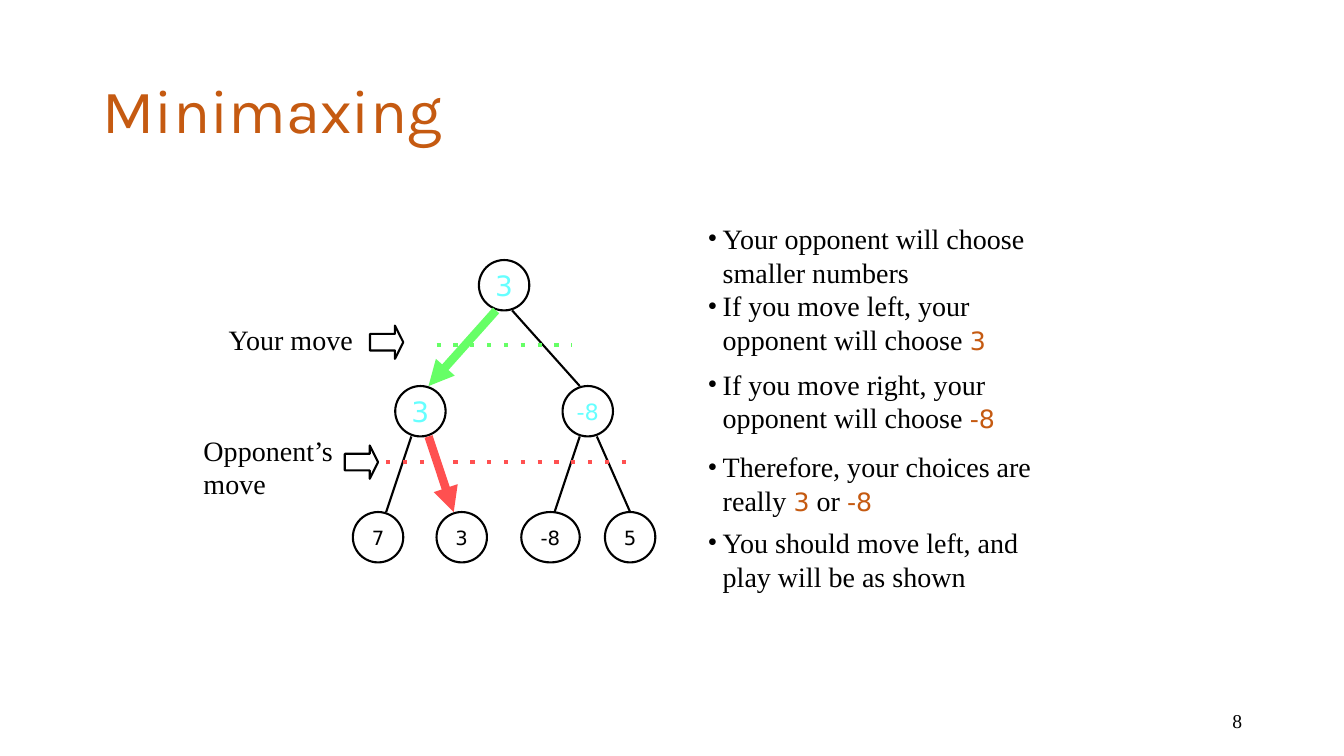
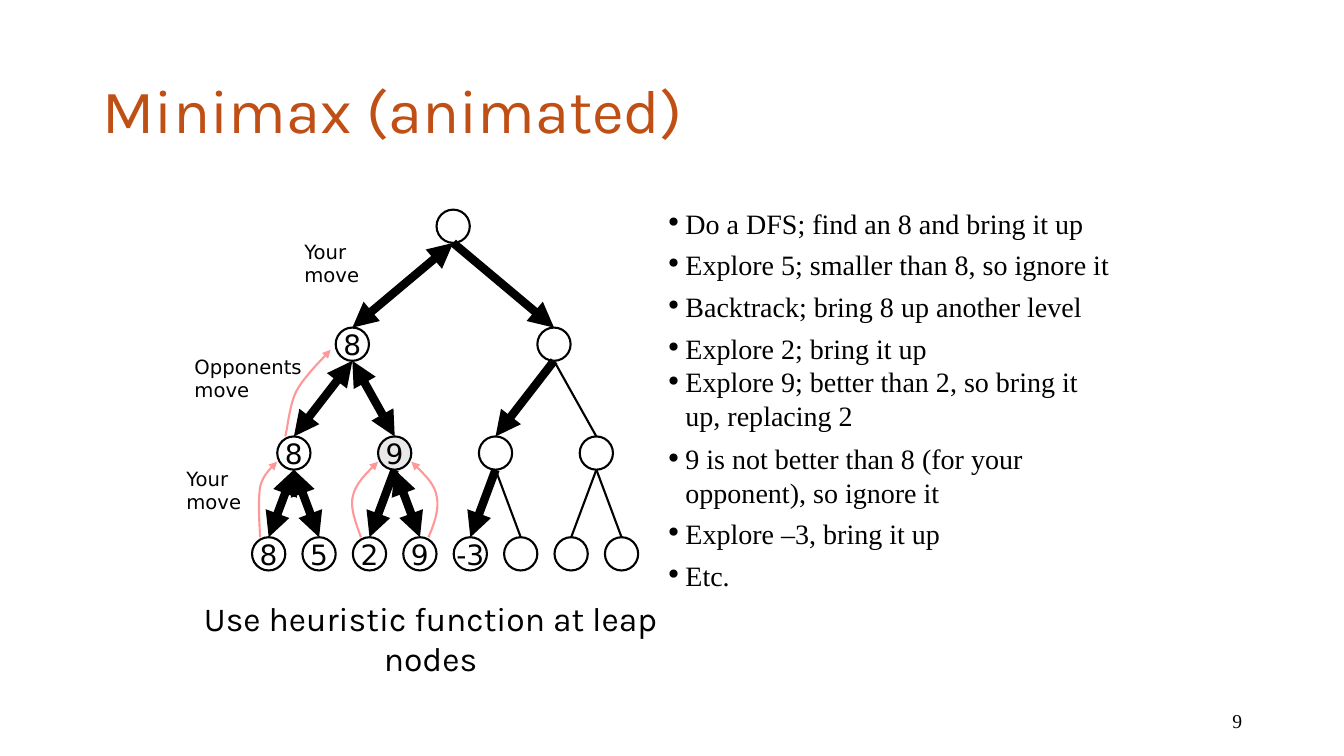
from lxml.etree import SubElement
from pptx import Presentation
from pptx.dml.color import RGBColor
from pptx.enum.shapes import MSO_CONNECTOR, MSO_SHAPE
from pptx.enum.text import MSO_ANCHOR as ANCHOR, PP_ALIGN as ALIGN
from pptx.oxml.ns import qn
from pptx.util import Inches, Pt

BLACK = RGBColor(0x00, 0x00, 0x00)
ORANGE = RGBColor(0xC5, 0x5A, 0x11)
RUST = RGBColor(0xC0, 0x4F, 0x15)
CYAN = RGBColor(0x66, 0xFF, 0xFF)
GREEN = RGBColor(0x66, 0xFF, 0x66)
RED = RGBColor(0xFF, 0x50, 0x50)
PINK = RGBColor(0xFF, 0x99, 0x99)
GRAY = RGBColor(0xE8, 0xE8, 0xE8)

SERIF, SANS, DISPLAY = "Times New Roman", "DejaVu Sans", "Karla"
THIN, DOTTED, THICK = 1.5, 3, 6

MINIMAXING_POINTS = [
    ("Your opponent will choose\nsmaller numbers", 0),
    ("If you move left, your\nopponent will choose *3*", 0),
    ("If you move right, your\nopponent will choose *-8*", 8),
    ("Therefore, your choices are\nreally *3* or *-8*", 11),
    ("You should move left, and\nplay will be as shown", 6),
]
MINIMAXING_NODES = [
    ("3", 4.75, 2.58, 0.5, 20, CYAN),
    ("3", 3.92, 3.83, 0.5, 20, CYAN),
    ("-8", 5.58, 3.83, 0.5, 16, CYAN),
    ("7", 3.5, 5.08, 0.5, 14, BLACK),
    ("3", 4.33, 5.08, 0.5, 14, BLACK),
    ("-8", 5.17, 5.08, 0.58, 14, BLACK),
    ("5", 6, 5.08, 0.5, 14, BLACK),
]
MINIMAXING_EDGES = [
    ((5.08, 3.08), (5.75, 3.83)),
    ((4.08, 4.33), (3.83, 5.08)),
    ((5.75, 4.33), (5.5, 5.08)),
    ((5.92, 4.33), (6.25, 5.08)),
]
CHOSEN_MOVES = [
    ((4.92, 3.08), (4.25, 3.83), GREEN),
    ((4.25, 4.33), (4.5, 5.08), RED),
]
TURN_LINES = [
    ((4.33, 3.42), (5.67, 3.42), GREEN),
    ((3.83, 4.58), (6.33, 4.58), RED),
]
MINIMAXING_LABELS = [
    ("Your move", 2.17, 3.15, 1.67, 0.43),
    ("Opponent’s move", 1.92, 4.25, 1.67, 0.77),
]
TURN_ARROWS = [(3.67, 3.23), (3.42, 4.42)]

ANIMATED_POINTS = [
    ("Do a DFS; find an 8 and bring it up", 0),
    ("Explore 5; smaller than 8, so ignore it", 5),
    ("Backtrack; bring 8 up another level", 6),
    ("Explore 2; bring it up", 6),
    ("Explore 9; better than 2, so bring it\nup, replacing 2", 0),
    ("9 is not better than 8 (for your\nopponent), so ignore it", 7),
    ("Explore –3, bring it up", 5),
    ("Etc.", 6),
]
ANIMATED_LEVELS = [
    (2.08, [4.33], [""], []),
    (3.25, [3.33, 5.33], ["8", ""], ["both", "down"]),
    (4.33, [2.75 + i for i in range(4)], ["8", "9", "", ""],
     ["both", "both", "down", "thin"]),
    (5.33, [2.5 + 0.5 * i for i in range(8)],
     ["8", "5", "2", "9", "-3", "", "", ""],
     ["both", "both", "down", "both", "down", "thin", "thin", "thin"]),
]
REJECTED_NODE = (2, 1)
NODE_SIZE = 0.33
ANIMATED_LABELS = [
    ("Your\nmove", 2.92, 2.33, 1, 0.57),
    ("Opponents\nmove", 1.83, 3.47, 1.75, 0.57),
    ("Your\nmove", 1.75, 4.58, 1, 0.57),
]
VALUE_CURVES = [
    [(2.58, 5.33), (2.57, 5.15), (2.56, 4.96), (2.58, 4.83),
     (2.61, 4.71), (2.68, 4.65), (2.75, 4.58)],
    [(2.83, 4.33), (2.85, 4.26), (2.87, 4.02), (2.94, 3.88),
     (3.02, 3.73), (3.21, 3.55), (3.28, 3.47)],
    [(3.58, 5.33), (3.53, 5.19), (3.47, 5.04), (3.5, 4.92),
     (3.53, 4.79), (3.64, 4.69), (3.75, 4.58)],
    [(4.25, 5.33), (4.31, 5.19), (4.36, 5.04), (4.33, 4.92),
     (4.31, 4.79), (4.19, 4.69), (4.08, 4.58)],
]
CURVE_STEPS = 12


def style_run(run, font, size, color):
    run.font.name = font
    run.font.size = Pt(size)
    run.font.color.rgb = color


def write(paragraph, text, font, size, color):
    for part, piece in enumerate(text.split("*")):
        for row, line in enumerate(piece.split("\n")):
            if row:
                paragraph.add_line_break()
            if line:
                run = paragraph.add_run()
                run.text = line
                if part % 2:
                    style_run(run, SANS, 18, ORANGE)
                else:
                    style_run(run, font, size, color)


def add_frame(slide, box, anchor=ANCHOR.TOP):
    frame = slide.shapes.add_textbox(*map(Inches, box)).text_frame
    frame.word_wrap = True
    frame.vertical_anchor = anchor
    return frame


def add_text(slide, text, box, font, size, color=BLACK, align=ALIGN.LEFT,
             anchor=ANCHOR.TOP, spacing=None):
    paragraph = add_frame(slide, box, anchor).paragraphs[0]
    paragraph.alignment = align
    paragraph.line_spacing = spacing
    write(paragraph, text, font, size, color)


def add_labels(slide, labels, font, size):
    for text, *box in labels:
        add_text(slide, text, box, font, size, spacing=Pt(1.2 * size))


def add_bullets(slide, points, box, bullet_font, indent):
    frame = add_frame(slide, box)
    for index, (text, gap) in enumerate(points):
        paragraph = frame.paragraphs[0] if index == 0 else frame.add_paragraph()
        paragraph.line_spacing = Pt(24)
        paragraph.space_before = Pt(gap)
        properties = paragraph._p.get_or_add_pPr()
        properties.set("marL", str(Inches(indent)))
        properties.set("indent", str(-Inches(indent)))
        SubElement(properties, qn("a:buFont"), typeface=bullet_font)
        SubElement(properties, qn("a:buChar"), char="•")
        write(paragraph, text, SERIF, 20, BLACK)


def style_line(shape, color, width, dash=None, ends=()):
    shape.line.color.rgb = color
    shape.line.width = Pt(width)
    line = shape.element.spPr.get_or_add_ln()
    if dash:
        SubElement(line, qn("a:prstDash"), val=dash)
    for end in ends:
        SubElement(line, qn(f"a:{end}"), type="triangle")


def add_line(slide, start, stop, color=BLACK, width=THIN, dash=None, ends=()):
    connector = slide.shapes.add_connector(
        MSO_CONNECTOR.STRAIGHT, *map(Inches, (*start, *stop)))
    style_line(connector, color, width, dash, ends)
    SubElement(connector.element.spPr, qn("a:effectLst"))


def add_outline(slide, kind, left, top, width, height):
    shape = slide.shapes.add_shape(kind, *map(Inches, (left, top, width, height)))
    shape.shadow.inherit = False
    shape.fill.background()
    style_line(shape, BLACK, THIN)
    return shape


def add_node(slide, text, left, top, width, height, size, color=BLACK):
    node = add_outline(slide, MSO_SHAPE.OVAL, left, top, width, height)
    if text:
        frame = node.text_frame
        frame.word_wrap = False
        frame.vertical_anchor = ANCHOR.MIDDLE
        frame.paragraphs[0].alignment = ALIGN.CENTER
        write(frame.paragraphs[0], text, SANS, size, color)
    return node


def curve_points(controls):
    points = [controls[0]]
    for first in range(0, len(controls) - 1, 3):
        segment = controls[first:first + 4]
        for step in range(1, CURVE_STEPS + 1):
            t = step / CURVE_STEPS
            weights = ((1 - t) ** 3, 3 * t * (1 - t) ** 2, 3 * t * t * (1 - t), t ** 3)
            points.append(tuple(sum(w * p[axis] for w, p in zip(weights, segment))
                                for axis in (0, 1)))
    return [(Inches(x), Inches(y)) for x, y in points]


def add_curve(slide, controls):
    start, *rest = curve_points(controls)
    builder = slide.shapes.build_freeform(*start)
    builder.add_line_segments(rest, close=False)
    curve = builder.convert_to_shape()
    curve.shadow.inherit = False
    curve.fill.background()
    style_line(curve, PINK, THIN, ends=["tailEnd"])


def add_slide(presentation, title, color, number):
    slide = presentation.slides.add_slide(presentation.slide_layouts[6])
    add_text(slide, title, (0.92, 0.4, 11.5, 1.45), DISPLAY, 44, color,
             anchor=ANCHOR.MIDDLE, spacing=0.9)
    add_text(slide, number, (9.42, 6.95, 3, 0.4), SERIF, 14,
             align=ALIGN.RIGHT, anchor=ANCHOR.MIDDLE)
    return slide


def build_minimaxing(presentation):
    slide = add_slide(presentation, "Minimaxing", ORANGE, "8")
    add_labels(slide, MINIMAXING_LABELS, SERIF, 20)
    for left, top in TURN_ARROWS:
        arrow = add_outline(slide, MSO_SHAPE.RIGHT_ARROW, left, top, 0.33, 0.33)
        arrow.adjustments[1] = 0.25
    for start, stop in MINIMAXING_EDGES:
        add_line(slide, start, stop)
    for start, stop, color in TURN_LINES:
        add_line(slide, start, stop, color, DOTTED, dash="dot")
    for text, left, top, width, size, color in MINIMAXING_NODES:
        add_node(slide, text, left, top, width, 0.5, size, color)
    for start, stop, color in CHOSEN_MOVES:
        add_line(slide, start, stop, color, THICK, ends=["tailEnd"])
    add_bullets(slide, MINIMAXING_POINTS, (6.92, 2.15, 4.33, 3.79), SERIF, 0.15)


def build_animated(presentation):
    slide = add_slide(presentation, "Minimax (animated)", RUST, "9")
    styles = {
        "thin": (THIN, []),
        "down": (THICK, ["tailEnd"]),
        "both": (THICK, ["headEnd", "tailEnd"]),
    }
    half = NODE_SIZE / 2
    for parents, children in zip(ANIMATED_LEVELS, ANIMATED_LEVELS[1:]):
        for index, (left, style) in enumerate(zip(children[1], children[3])):
            start = (parents[1][index // 2] + half, parents[0] + NODE_SIZE)
            width, ends = styles[style]
            add_line(slide, start, (left + half, children[0]), width=width, ends=ends)
    for controls in VALUE_CURVES:
        add_curve(slide, controls)
    for depth, (top, lefts, texts, _) in enumerate(ANIMATED_LEVELS):
        for index, (left, text) in enumerate(zip(lefts, texts)):
            node = add_node(slide, text, left, top, NODE_SIZE, NODE_SIZE, 20)
            if (depth, index) == REJECTED_NODE:
                node.fill.solid()
                node.fill.fore_color.rgb = GRAY
    add_labels(slide, ANIMATED_LABELS, SANS, 14)
    add_bullets(slide, ANIMATED_POINTS, (6.5, 2, 4.67, 3.92), SANS, 0.2)
    add_text(slide, "Use heuristic function at leap nodes", (1.56, 5.88, 5.42, 0.9),
             DISPLAY, 24, align=ALIGN.CENTER)


def main():
    presentation = Presentation()
    presentation.slide_width = Inches(13.33)
    presentation.slide_height = Inches(7.5)
    build_minimaxing(presentation)
    build_animated(presentation)
    presentation.save("out.pptx")


if __name__ == "__main__":
    main()
